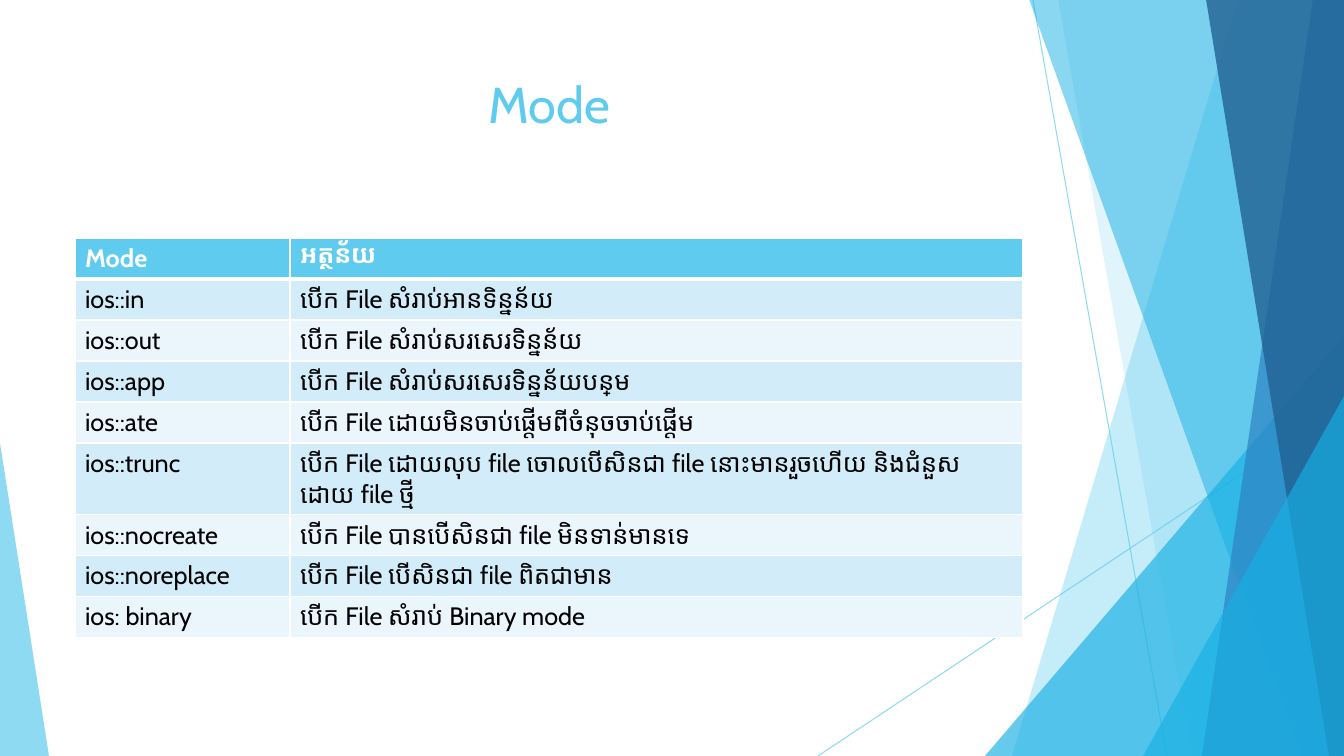
import pptx
import pptx.util
import pptx.dml.color
import pptx.enum.shapes
import pptx.enum.text
import pptx.oxml
import pptx.oxml.ns

RGB = pptx.dml.color.RGBColor
SKY = RGB(0x5F, 0xCB, 0xEF)
CYAN = RGB(0x17, 0xB0, 0xE4)
BLUE = RGB(0x2E, 0x83, 0xC3)
NAVY = RGB(0x22, 0x62, 0x92)
WHITE = RGB(0xFF, 0xFF, 0xFF)
BLACK = RGB(0, 0, 0)
BANDS = [RGB(0xD2, 0xEC, 0xF9), RGB(0xEA, 0xF6, 0xFC)]
FONT = "Cabin"

# Content
HEADING = "Mode"
MODES = [
    ("Mode", "អត្ថន័យ"),
    ("ios::in", "បើក File សំរាប់អានទិន្នន័យ"),
    ("ios::out", "បើក File សំរាប់សរសេរទិន្នន័យ"),
    ("ios::app", "បើក File សំរាប់សរសេរទិន្នន័យបន្ថែម"),
    ("ios::ate", "បើក File ដោយមិនចាប់ផ្តើមពីចំនុចចាប់ផ្តើម"),
    ("ios::trunc", "បើក File ដោយលុប file ចោលបើសិនជា file នោះមានរួចហើយ និងជំនួសដោយ file ថ្មី"),
    ("ios::nocreate", "បើក File បានបើសិនជា file មិនទាន់មានទេ"),
    ("ios::noreplace", "បើក File បើសិនជា file ពិតជាមាន"),
    ("ios: binary", "បើក File សំរាប់ Binary mode"),
]

# Geometry in px
WIDTH, HEIGHT = 1344, 756
EMU_PER_PX = 914400 / 100.8
LEFT, CONTENT_WIDTH = 75, 948
TITLE_TOP, TITLE_HEIGHT = 68, 145
TABLE_TOP, ROW_HEIGHT = 238, 41
COLUMNS = [215, 733]

# Decoration, back to front
RAYS = [(1033, 0, 1167, HEIGHT), (WIDTH, 406, 818, HEIGHT)]
FACETS = [  # panels: top x, bottom x; triangles: left, top, width, apex
    ("panel", (1238, 1012), SKY, 36),
    ("panel", (1058, 1192), SKY, 20),
    ("triangle", (985, 336, 359, 1), CYAN, 66),
    ("panel", (1029, 1301), CYAN, 50),
    ("panel", (1313, 1202), BLUE, 70),
    ("panel", (1206, 1329), NAVY, 80),
    ("triangle", (1143, 396, 201, 1), CYAN, 66),
    ("triangle", (0, 443, 49, 0), SKY, 70),
]


def px(length):
    return pptx.util.Emu(round(length * EMU_PER_PX))


def set_alpha(shape, percent):
    for color in shape._element.spPr.iter(pptx.oxml.ns.qn("a:srgbClr")):
        pptx.oxml.ns.qn("a:alpha")
        color.append(pptx.oxml.parse_xml(
            f'<a:alpha {pptx.oxml.ns.nsdecls("a")} val="{percent * 1000}"/>'))


def add_ray(shapes, x1, y1, x2, y2):
    ray = shapes.add_connector(pptx.enum.shapes.MSO_CONNECTOR.STRAIGHT,
                               px(x1), px(y1), px(x2), px(y2))
    ray.line.color.rgb = SKY
    ray.line.width = pptx.util.Pt(0.75)
    set_alpha(ray, 70)
    ray._element.spPr.append(pptx.oxml.parse_xml(
        f'<a:effectLst {pptx.oxml.ns.nsdecls("a")}/>'))


def add_facet(shapes, kind, place, color, alpha):
    if kind == "panel":
        top_x, bottom_x = place
        outline = shapes.build_freeform(top_x, -1, scale=EMU_PER_PX)
        outline.add_line_segments([(WIDTH, -1), (WIDTH, HEIGHT), (bottom_x, HEIGHT)])
        facet = outline.convert_to_shape()
    else:
        left, top, width, apex = place
        facet = shapes.add_shape(pptx.enum.shapes.MSO_SHAPE.ISOSCELES_TRIANGLE,
                                 px(left), px(top), px(width), px(HEIGHT - top))
        facet.adjustments[0] = apex
    facet.shadow.inherit = False
    facet.fill.solid()
    facet.fill.fore_color.rgb = color
    facet.line.fill.background()
    set_alpha(facet, alpha)


def add_text(paragraph, text, size, color, bold=False):
    run = paragraph.add_run()
    run.text = text
    run.font.name = FONT
    run.font.size = pptx.util.Pt(size)
    run.font.bold = bold
    run.font.color.rgb = color


def set_borders(cell, widths):
    for side, points in widths.items():
        cell._tc.get_or_add_tcPr().append(pptx.oxml.parse_xml(
            f'<a:ln{side} {pptx.oxml.ns.nsdecls("a")} w="{points * 12700}">'
            f'<a:solidFill><a:srgbClr val="{WHITE}"/></a:solidFill></a:ln{side}>'))


def add_modes(shapes):
    modes = shapes.add_table(len(MODES), len(COLUMNS), px(LEFT), px(TABLE_TOP),
                             px(CONTENT_WIDTH), px(ROW_HEIGHT * len(MODES))).table
    for column, width in zip(modes.columns, COLUMNS):
        column.width = px(width)
    for r, texts in enumerate(MODES):
        modes.rows[r].height = px(ROW_HEIGHT)
        header = r == 0
        for c, text in enumerate(texts):
            cell = modes.cell(r, c)
            set_borders(cell, {"L": 1, "R": 1, "T": 3 if r == 1 else 1,
                               "B": 3 if header else 1})
            cell.fill.solid()
            cell.fill.fore_color.rgb = SKY if header else BANDS[(r - 1) % 2]
            add_text(cell.text_frame.paragraphs[0], text, 18,
                     WHITE if header else BLACK, header)


def main():
    deck = pptx.Presentation()
    deck.slide_width, deck.slide_height = px(WIDTH), px(HEIGHT)
    slide = deck.slides.add_slide(deck.slide_layouts[5])

    # Background facets
    for ray in RAYS:
        add_ray(slide.shapes, *ray)
    for facet in FACETS:
        add_facet(slide.shapes, *facet)

    # Title, in front of the facets
    title = slide.shapes.title
    title._element.getparent().append(title._element)
    title.left, title.top = px(LEFT), px(TITLE_TOP)
    title.width, title.height = px(CONTENT_WIDTH), px(TITLE_HEIGHT)
    title.text_frame.vertical_anchor = pptx.enum.text.MSO_ANCHOR.TOP
    heading = title.text_frame.paragraphs[0]
    heading.alignment = pptx.enum.text.PP_ALIGN.CENTER
    add_text(heading, HEADING, 36, SKY)

    # Table of modes
    add_modes(slide.shapes)
    deck.save("out.pptx")


if __name__ == "__main__":
    main()
